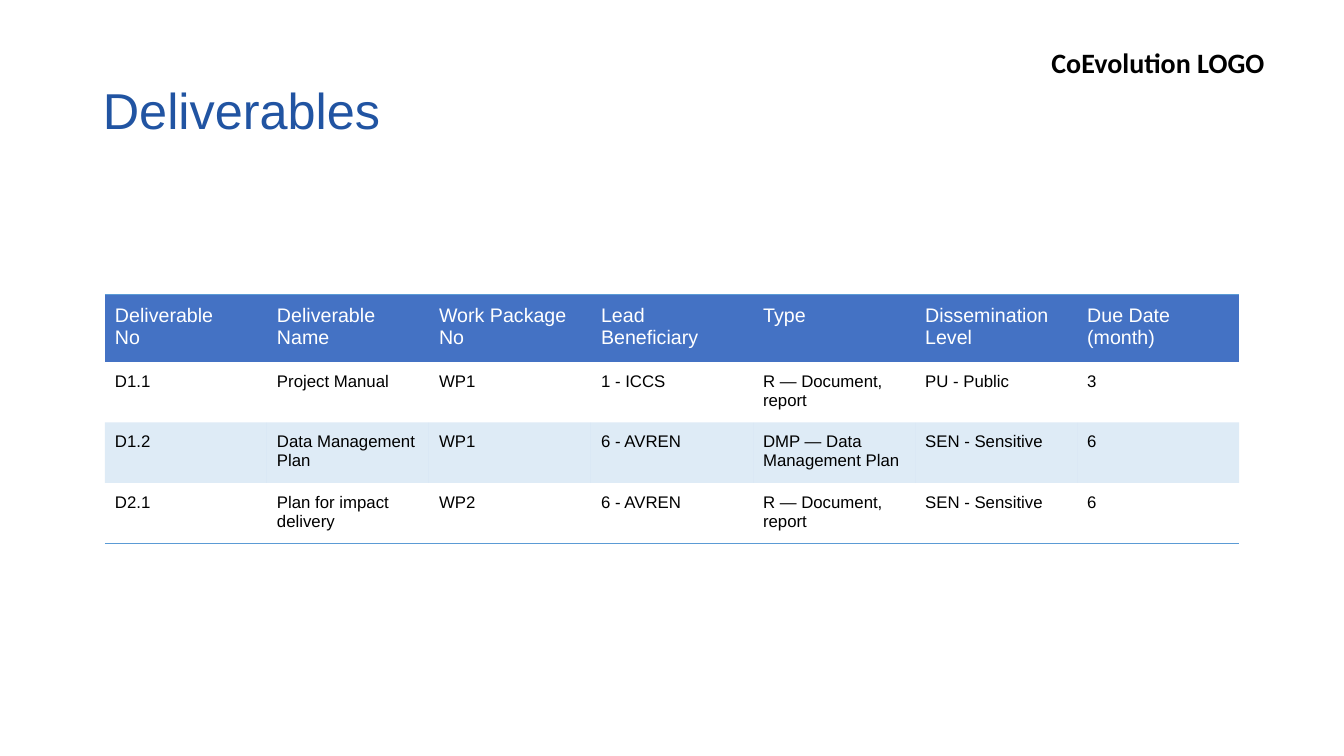
"""Build the project deliverables slide with its schedule table."""
from lxml import etree
from pptx import Presentation
from pptx.dml.color import RGBColor
from pptx.enum.text import MSO_ANCHOR, MSO_AUTO_SIZE, PP_ALIGN
from pptx.oxml import parse_xml
from pptx.oxml.ns import nsdecls, qn
from pptx.util import Inches, Pt

LEFT = PP_ALIGN.LEFT
MIDDLE = MSO_ANCHOR.MIDDLE
GROW = MSO_AUTO_SIZE.SHAPE_TO_FIT_TEXT

THEME = {
    "title": ("Arial", 36, "2154A2", False),
    "logo": ("Calibri", 20, "000000", True),
    "head": ("Arial", 14, "FFFFFF", False),
    "body": ("Arial", 12, "000000", False),
    "head_fill": "4472C4",
    "accent": "5B9BD5",
    "band_alpha": 20,
    "rule": 1,
    "no_grid": "{2D5ABB26-0587-4C30-8999-92F81FD0307C}",
}

ROWS = [
    ["Deliverable\nNo", "Deliverable Name", "Work Package\nNo", "Lead Beneficiary",
     "Type", "Dissemination Level", "Due Date\n(month)"],
    ["D1.1", "Project Manual", "WP1", "1 - ICCS", "R — Document, report",
     "PU - Public", "3"],
    ["D1.2", "Data Management Plan", "WP1", "6 - AVREN",
     "DMP — Data\nManagement Plan", "SEN - Sensitive", "6"],
    ["D2.1", "Plan for impact delivery", "WP2", "6 - AVREN",
     "R — Document, report", "SEN - Sensitive", "6"],
]
HEAD_H, BODY_H = Inches(0.67), Inches(0.6)


def write(tf, text, style):
    name, size, color, bold = THEME[style]
    tf.text = text
    for p in tf.paragraphs:
        p.alignment = LEFT
        for r in p.runs:
            r.font.name, r.font.size, r.font.bold = name, Pt(size), bold
            r.font.color.rgb = RGBColor.from_string(color)


def add_rule(cell, side):
    cell._tc.get_or_add_tcPr().insert(0, parse_xml(
        f'<a:{side} {nsdecls("a")} w="{Pt(THEME["rule"])}"><a:solidFill>'
        f'<a:srgbClr val="{THEME["accent"]}"/></a:solidFill></a:{side}>'))


prs = Presentation()
prs.slide_width, prs.slide_height = Inches(13.33), Inches(7.5)
s = prs.slides.add_slide(prs.slide_layouts[5])

title = s.shapes.title
title.left, title.top = Inches(0.92), Inches(0.4)
title.width, title.height = Inches(11.5), Inches(1.45)
write(title.text_frame, "Deliverables", "title")
title.text_frame.vertical_anchor = MIDDLE
title.text_frame.paragraphs[0].line_spacing = 0.9

logo = s.shapes.add_textbox(Inches(10.33), Inches(0.4), Inches(2.63), Inches(0.44))
logo.text_frame.word_wrap = True
logo.text_frame.auto_size = GROW
write(logo.text_frame, "CoEvolution LOGO", "logo")

frame = s.shapes.add_table(len(ROWS), len(ROWS[0]), Inches(1.04), Inches(2.92),
                           Inches(11.25), HEAD_H + 3 * BODY_H)
table = frame.table
table._tbl.tblPr.find(qn("a:tableStyleId")).text = THEME["no_grid"]

for i, texts in enumerate(ROWS):
    table.rows[i].height = BODY_H if i else HEAD_H
    for j, text in enumerate(texts):
        cell = table.cell(i, j)
        cell.margin_left = cell.margin_right = Inches(0.1)
        cell.margin_top = cell.margin_bottom = Inches(0.1)
        write(cell.text_frame, text, "body" if i else "head")
        if i % 2:
            cell.fill.background()
        else:
            cell.fill.solid()
            color = THEME["accent"] if i else THEME["head_fill"]
            cell.fill.fore_color.rgb = RGBColor.from_string(color)
        if i == 2:
            srgb = cell._tc.tcPr.find(".//" + qn("a:srgbClr"))
            etree.SubElement(srgb, qn("a:alpha")).set(
                "val", str(THEME["band_alpha"] * 1000))
        if i == 0:
            add_rule(cell, "lnT")
        if i == len(ROWS) - 1:
            cell.fill.background()
            add_rule(cell, "lnB")

prs.save("out.pptx")
